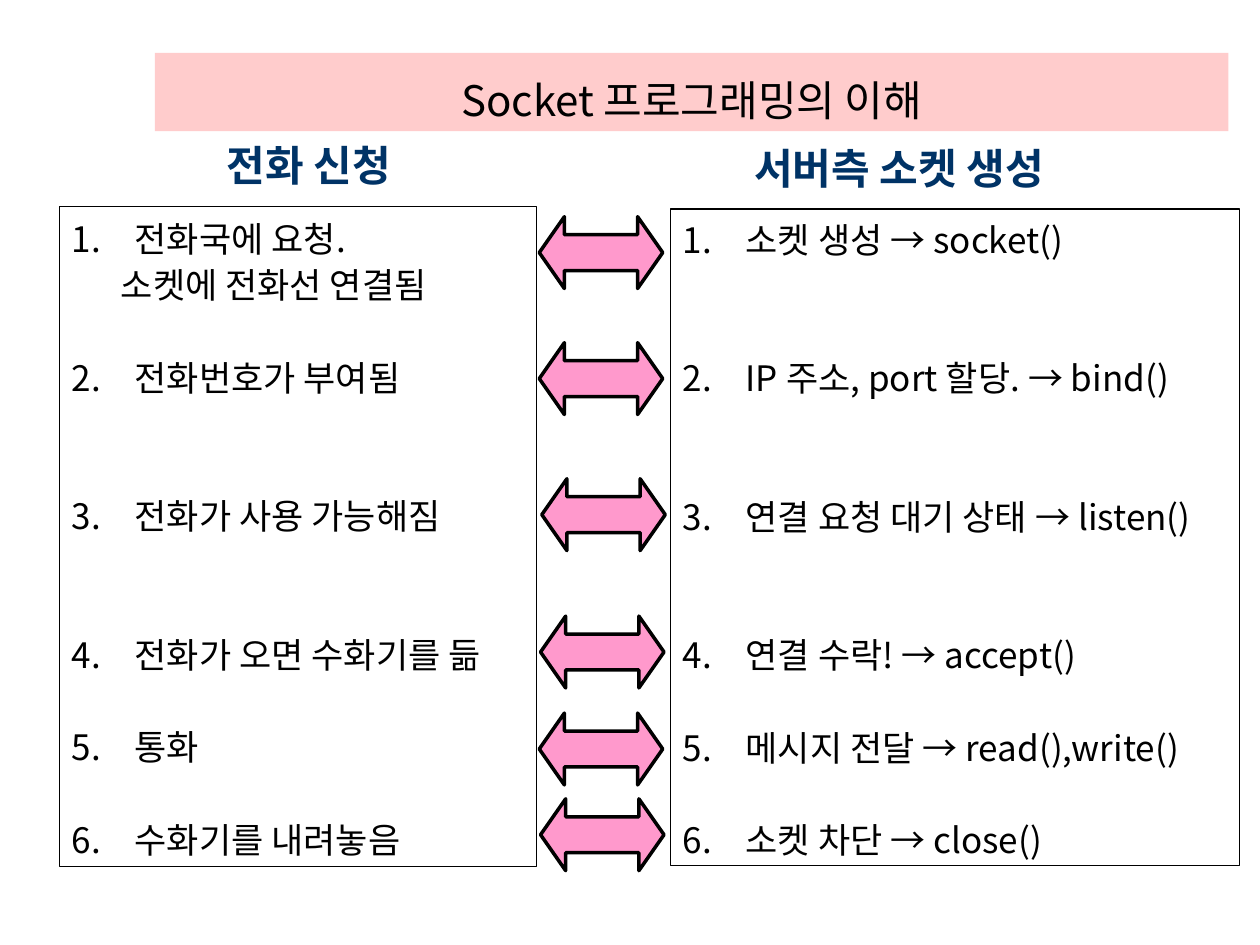
from dataclasses import dataclass

from lxml import etree
from pptx import Presentation
from pptx.dml.color import RGBColor
from pptx.enum.shapes import MSO_SHAPE
from pptx.enum.text import MSO_ANCHOR, PP_ALIGN
from pptx.oxml.ns import qn
from pptx.util import Inches, Pt

RECTANGLE = MSO_SHAPE.RECTANGLE
DOUBLE_ARROW = MSO_SHAPE.LEFT_RIGHT_ARROW
CENTER = PP_ALIGN.CENTER
LEFT = PP_ALIGN.LEFT
MIDDLE = MSO_ANCHOR.MIDDLE
BOTTOM = MSO_ANCHOR.BOTTOM

FONT = "Noto Sans CJK KR"
LINE_PITCH = 26.4
COLORS = {
    "text": "000000",
    "heading": "003366",
    "title_fill": "FFCCCC",
    "arrow_fill": "FF99CC",
    "outline": "000000",
}


@dataclass
class Box:
    left: float
    top: float
    width: float
    height: float

    def lengths(self):
        return [Inches(v) for v in (self.left, self.top, self.width, self.height)]


@dataclass
class Step:
    text: str
    gap: int = 0
    start: int = 1
    numbered: bool = True


@dataclass
class Panel:
    heading: str
    heading_box: Box
    box: Box
    steps: list[Step]


PANELS = [
    Panel("전화 신청", Box(1.49, 1.06, 1.92, 0.5), Box(0.47, 1.64, 3.79, 5.24), [
        Step("전화국에 요청."),
        Step("소켓에 전화선 연결됨", numbered=False),
        Step("전화번호가 부여됨", 1, 2),
        Step("전화가 사용 가능해짐", 2, 2),
        Step("전화가 오면 수화기를 듦", 2, 2),
        Step("통화", 1, 2),
        Step("수화기를 내려놓음", 1, 2),
    ]),
    Panel("서버측 소켓 생성", Box(5.82, 1.08, 2.63, 0.5), Box(5.32, 1.66, 4.52, 5.21), [
        Step("소켓 생성 → socket()"),
        Step("IP 주소, port 할당. → bind()", 2),
        Step("연결 요청 대기 상태 → listen()", 2),
        Step("연결 수락! → accept()", 2),
        Step("메시지 전달 → read(),write()", 1),
        Step("소켓 차단 → close()", 1),
    ]),
]
TITLE_BOX = Box(1.23, 0.42, 8.52, 0.62)
ARROW_POSITIONS = [(4.28, 1.72), (4.28, 2.72), (4.3, 3.8),
                   (4.29, 4.89), (4.28, 5.66), (4.29, 6.34)]


def rgb(name: str) -> RGBColor:
    return RGBColor.from_string(COLORS[name])


def add_shape(slide, kind, box: Box, fill=None, line_width=None):
    shape = slide.shapes.add_shape(kind, *box.lengths())
    shape.shadow.inherit = False
    if fill:
        shape.fill.solid()
        shape.fill.fore_color.rgb = rgb(fill)
    else:
        shape.fill.background()
    if line_width:
        shape.line.color.rgb = rgb("outline")
        shape.line.width = Pt(line_width)
    else:
        shape.line.fill.background()
    return shape


def write_text(paragraph, text: str, size=20, color="text", bold=False, align=LEFT):
    paragraph.alignment = align
    run = paragraph.add_run()
    run.text = text
    run.font.size = Pt(size)
    run.font.name = FONT
    run.font.bold = bold
    run.font.color.rgb = rgb(color)
    east_asian = etree.SubElement(run.font._element, qn("a:ea"))
    east_asian.set("typeface", FONT)


def format_step(paragraph, step: Step) -> None:
    paragraph.line_spacing = Pt(LINE_PITCH)
    paragraph.space_before = Pt(step.gap * LINE_PITCH)
    properties = paragraph._p.get_or_add_pPr()
    if step.numbered:
        properties.set("marL", str(Inches(0.5)))
        properties.set("indent", str(Inches(-0.5)))
        numbering = etree.SubElement(properties, qn("a:buAutoNum"))
        numbering.set("type", "arabicPeriod")
        if step.start > 1:
            numbering.set("startAt", str(step.start))
    else:
        properties.set("marL", str(Inches(0.39)))
        properties.set("indent", "0")
        etree.SubElement(properties, qn("a:buNone"))


def add_panel(slide, panel: Panel) -> None:
    frame = add_shape(slide, RECTANGLE, panel.box, line_width=0.75).text_frame
    frame.word_wrap = True
    frame.vertical_anchor = MIDDLE
    for index, step in enumerate(panel.steps):
        paragraph = frame.add_paragraph() if index else frame.paragraphs[0]
        format_step(paragraph, step)
        write_text(paragraph, step.text)
    heading = slide.shapes.add_textbox(*panel.heading_box.lengths()).text_frame
    heading.word_wrap = False
    heading.vertical_anchor = MIDDLE
    write_text(heading.paragraphs[0], panel.heading, size=24,
               color="heading", bold=True, align=CENTER)


def add_title(slide) -> None:
    frame = add_shape(slide, RECTANGLE, TITLE_BOX, fill="title_fill").text_frame
    frame.word_wrap = True
    frame.vertical_anchor = BOTTOM
    write_text(frame.paragraphs[0], "Socket 프로그래밍의 이해", size=24, align=CENTER)


def add_arrow(slide, left: float, top: float) -> None:
    arrow = add_shape(slide, DOUBLE_ARROW, Box(left, top, 0.98, 0.57),
                      fill="arrow_fill", line_width=2)
    arrow.adjustments[0] = 0.5
    arrow.adjustments[1] = 0.35


def main() -> None:
    presentation = Presentation()
    presentation.slide_width = Inches(10)
    presentation.slide_height = Inches(7.5)
    slide = presentation.slides.add_slide(presentation.slide_layouts[6])
    for panel in PANELS:
        add_panel(slide, panel)
    add_title(slide)
    for left, top in ARROW_POSITIONS:
        add_arrow(slide, left, top)
    presentation.save("out.pptx")


if __name__ == "__main__":
    main()
